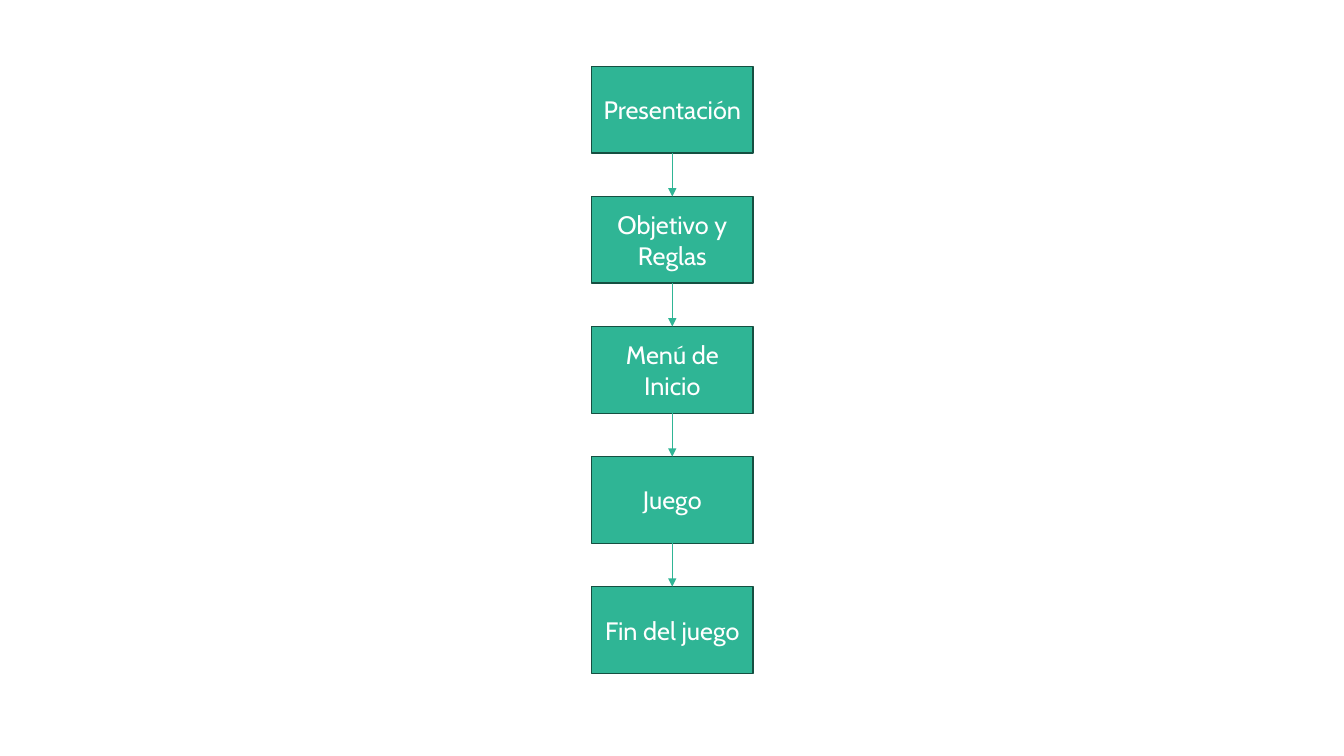
import pptx
import pptx.dml.color
import pptx.enum.shapes
import pptx.enum.text
import pptx.oxml.ns
import pptx.util
import lxml.etree

Pt = pptx.util.Pt
GREEN = pptx.dml.color.RGBColor(0x2F, 0xB5, 0x95)
DARK_GREEN = pptx.dml.color.RGBColor(0x15, 0x4F, 0x41)
WHITE = pptx.dml.color.RGBColor(0xFF, 0xFF, 0xFF)

STAGES = ["Presentación", "Objetivo y Reglas", "Menú de Inicio", "Juego", "Fin del juego"]
STAGE_LEFT, FIRST_TOP = 422.64, 47.52
STAGE_WIDTH, STAGE_HEIGHT = 115.2, 61.92
STAGE_PITCH = 92.88

FRAME_FORMAT = {"word_wrap": True, "vertical_anchor": pptx.enum.text.MSO_ANCHOR.MIDDLE}
FONT_FORMAT = {"name": "Cabin", "size": Pt(18)}


def apply_format(target, values):
    for name, value in values.items():
        setattr(target, name, value)


def add_stage(slide, label, top):
    stage = slide.shapes.add_shape(
        pptx.enum.shapes.MSO_SHAPE.RECTANGLE,
        Pt(STAGE_LEFT), Pt(top), Pt(STAGE_WIDTH), Pt(STAGE_HEIGHT))
    stage.shadow.inherit = False
    stage.fill.solid()
    stage.fill.fore_color.rgb = GREEN
    stage.line.color.rgb = DARK_GREEN
    stage.line.width = Pt(1)
    apply_format(stage.text_frame, FRAME_FORMAT)
    paragraph = stage.text_frame.paragraphs[0]
    paragraph.alignment = pptx.enum.text.PP_ALIGN.CENTER
    run = paragraph.add_run()
    run.text = label
    apply_format(run.font, FONT_FORMAT)
    run.font.color.rgb = WHITE
    return stage


def add_arrow(slide, upper, lower):
    arrow = slide.shapes.add_connector(
        pptx.enum.shapes.MSO_CONNECTOR.STRAIGHT, 0, 0, 0, 0)
    arrow.begin_connect(upper, 2)
    arrow.end_connect(lower, 0)
    arrow.line.color.rgb = GREEN
    arrow.line.width = Pt(0.5)
    qn = pptx.oxml.ns.qn
    properties = arrow.element.spPr
    lxml.etree.SubElement(properties.find(qn("a:ln")), qn("a:tailEnd"), type="triangle")
    lxml.etree.SubElement(properties, qn("a:effectLst"))


def main():
    deck = pptx.Presentation()
    apply_format(deck, {"slide_width": Pt(960), "slide_height": Pt(540)})
    slide = deck.slides.add_slide(deck.slide_layouts[6])
    stages = [add_stage(slide, label, FIRST_TOP + index * STAGE_PITCH)
              for index, label in enumerate(STAGES)]
    for upper, lower in zip(stages, stages[1:]):
        add_arrow(slide, upper, lower)
    deck.save("out.pptx")


if __name__ == "__main__":
    main()
